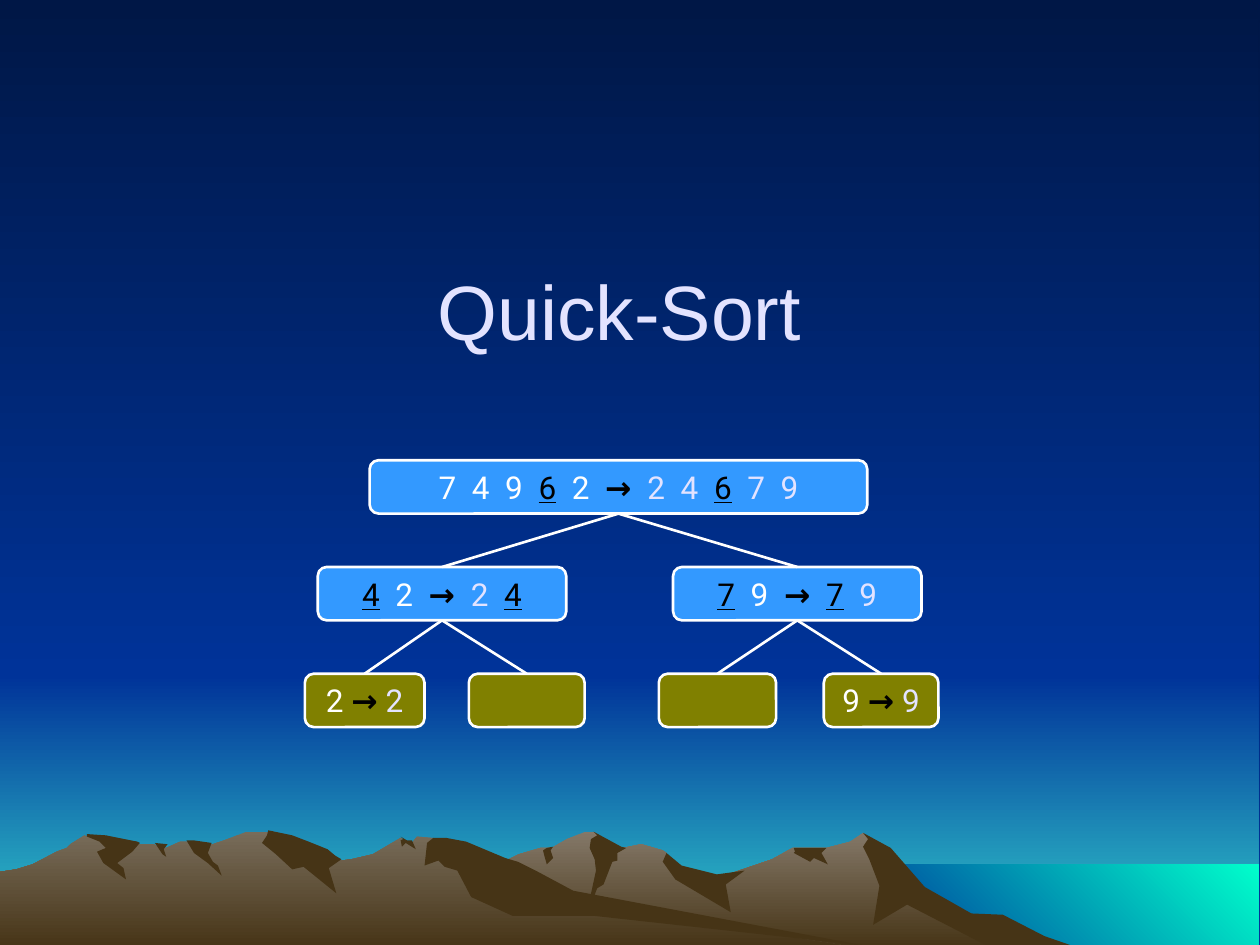
import lxml.etree
import pptx
import pptx.dml.color
import pptx.enum.shapes
import pptx.enum.text
import pptx.oxml.ns
import pptx.util

Pt = pptx.util.Pt
RGBColor = pptx.dml.color.RGBColor

NIGHT = RGBColor(0x00, 0x17, 0x46)
BLUE = RGBColor(0x00, 0x33, 0x99)
TEAL = RGBColor(0x33, 0xCC, 0xCC)
SEA = RGBColor(0x00, 0xFF, 0xCC)
HAZE = RGBColor(0x84, 0x78, 0x68)
LEFT_HAZE = RGBColor(0x78, 0x6C, 0x5A)
EARTH = RGBColor(0x46, 0x34, 0x16)
NODE = RGBColor(0x33, 0x99, 0xFF)
LEAF = RGBColor(0x80, 0x80, 0x00)
WHITE = RGBColor(0xFF, 0xFF, 0xFF)
BLACK = RGBColor(0x00, 0x00, 0x00)
LAVENDER = RGBColor(0xE3, 0xE3, 0xFF)

UNSORTED = dict(color=WHITE)
PIVOT = dict(color=BLACK, underline=True)
ARROW = dict(color=BLACK, bold=True)
SORTED = dict(color=LAVENDER)

DOWN, UP_RIGHT = 270, 45
HUNDREDTH_INCH = 0.72  # points
NODE_HEIGHT = 30.5
FIRST_ROW, ROW_STEP = 263, 61

# Outlines in hundredths of an inch
RIDGES = [
    ([(802, 741), (778, 728), (764, 725), (723, 699), (701, 673), (685, 661),
      (675, 668), (656, 673), (629, 673), (613, 682), (566, 698), (536, 691),
      (529, 677), (526, 675), (509, 670), (485, 675), (474, 662), (471, 660),
      (465, 660), (450, 666), (438, 673), (429, 673), (412, 678), (394, 687),
      (355, 699), (327, 711), (277, 740), (258, 753), (821, 753)], HAZE),
    ([(690, 753), (667, 750), (432, 714), (354, 666), (331, 664), (327, 669),
      (323, 669), (318, 665), (296, 678), (279, 682), (271, 683), (259, 678),
      (235, 682), (223, 664), (212, 660), (196, 660), (178, 667), (160, 673),
      (148, 668), (143, 668), (132, 673), (127, 673), (122, 670), (111, 670),
      (94, 673), (67, 663), (56, 670), (53, 673), (45, 676), (26, 686),
      (13, 690), (0, 692), (0, 753)], LEFT_HAZE),
]
RIGHT_SHADES = [
    [(796, 726), (771, 725), (734, 704), (707, 673), (685, 661), (689, 666),
     (685, 672), (690, 682), (698, 703), (693, 734), (720, 718), (788, 753),
     (858, 753), (829, 743)],
    [(471, 660), (474, 663), (469, 666), (468, 673), (472, 682), (473, 691),
     (465, 728), (474, 705), (479, 702), (486, 684), (490, 683), (490, 677),
     (497, 673), (493, 672)],
    [(529, 677), (526, 684), (536, 698), (580, 724), (576, 702), (591, 691),
     (569, 694), (541, 687)],
    [(649, 673), (630, 673), (631, 676), (630, 677), (643, 684), (646, 681),
     (657, 686), (652, 677), (656, 673)],
    [(432, 679), (431, 675), (434, 673), (439, 672), (437, 675), (439, 681),
     (434, 686)],
]
LEFT_SHADES = [
    [(212, 663), (208, 669), (219, 678), (232, 690), (241, 688), (267, 709),
     (261, 689), (271, 682), (266, 679), (260, 674), (245, 668), (232, 663),
     (213, 659)],
    [(370, 668), (354, 665), (344, 665), (339, 669), (337, 687), (348, 683),
     (353, 688), (363, 691), (374, 712), (407, 727), (472, 727), (690, 751),
     (683, 750), (455, 707), (427, 692), (411, 684), (401, 681)],
    [(318, 667), (320, 666), (318, 664), (323, 667), (327, 667), (330, 674),
     (322, 669), (319, 672)],
    [(154, 667), (168, 669), (165, 677), (169, 684), (173, 687), (176, 695),
     (165, 685), (154, 677), (148, 667)],
    [(133, 670), (130, 674), (132, 680), (129, 678), (123, 669)],
    [(109, 668), (111, 669), (105, 676), (93, 685), (98, 689), (100, 698),
     (82, 685), (77, 676), (84, 673), (79, 668), (69, 664), (69, 662),
     (84, 663), (94, 665)],
]


def write(paragraph, text, font="Roboto", size=18, color=WHITE, bold=False,
          underline=False):
    run = paragraph.add_run()
    run.text = text
    run.font.name = font
    run.font.size = Pt(size)
    run.font.color.rgb = color
    run.font.bold = bold
    run.font.underline = underline


def paint(fill, color, end=None, angle=DOWN):
    """Fill plainly, or with a gradient when an end colour is given."""
    if end is None:
        fill.solid()
        fill.fore_color.rgb = color
        return
    fill.gradient()
    fill.gradient_angle = angle
    for stop, shade in zip(fill.gradient_stops, (color, end)):
        stop.color.rgb = shade


class TreeSlide:
    """Holds the current slide and the style of its tree."""

    def __init__(self, slide):
        self.slide = slide
        self.outline = WHITE
        self.weight = Pt(1.5)

    def land(self, points, *colors, **options):
        builder = self.slide.shapes.build_freeform(
            *points[0], scale=float(Pt(HUNDREDTH_INCH)))
        builder.add_line_segments(points[1:], close=True)
        outline = builder.convert_to_shape()
        outline.shadow.inherit = False
        outline.line.fill.background()
        paint(outline.fill, *colors, **options)

    def band(self, left, top, right, bottom, *colors, **options):
        self.land([(left, top), (right, top), (right, bottom), (left, bottom)],
                  *colors, **options)

    def title(self, text):
        heading = self.slide.shapes.title
        heading.left, heading.top = Pt(48), Pt(132)
        heading.width, heading.height = Pt(612), Pt(90)
        frame = heading.text_frame
        frame.vertical_anchor = pptx.enum.text.MSO_ANCHOR.MIDDLE
        frame.paragraphs[0].alignment = pptx.enum.text.PP_ALIGN.CENTER
        write(frame.paragraphs[0], text, font="Arial", size=44, color=LAVENDER)
        # Keep the heading in front of the landscape
        heading.element.getparent().append(heading.element)

    def node(self, center, row, width, color, *parts):
        box = self.slide.shapes.add_shape(
            pptx.enum.shapes.MSO_SHAPE.ROUNDED_RECTANGLE,
            Pt(center - width / 2), Pt(FIRST_ROW + row * ROW_STEP),
            Pt(width), Pt(NODE_HEIGHT))
        box.shadow.inherit = False
        paint(box.fill, color)
        box.line.color.rgb = self.outline
        box.line.width = self.weight
        frame = box.text_frame
        frame.word_wrap = False
        frame.vertical_anchor = pptx.enum.text.MSO_ANCHOR.MIDDLE
        frame.paragraphs[0].alignment = pptx.enum.text.PP_ALIGN.CENTER
        for text, style in parts:
            write(frame.paragraphs[0], text, **style)
        return box

    def branch(self, parent, child):
        link = self.slide.shapes.add_connector(
            pptx.enum.shapes.MSO_CONNECTOR.STRAIGHT, 0, 0, 0, 0)
        link.begin_connect(parent, 2)
        link.end_connect(child, 0)
        link.line.color.rgb = self.outline
        link.line.width = self.weight
        lxml.etree.SubElement(link.element.spPr, pptx.oxml.ns.qn("a:effectLst"))


def main():
    deck = pptx.Presentation()
    deck.slide_width, deck.slide_height = Pt(720), Pt(540)
    page = TreeSlide(deck.slides.add_slide(deck.slide_layouts[5]))
    paint(page.slide.background.fill, NIGHT, BLUE)

    page.band(-1, 536, 999, 752, BLUE, TEAL)
    page.band(-1, 2, 999, 536, NIGHT, BLUE)
    page.band(683, 686, 999, 752, BLUE, SEA, angle=UP_RIGHT)
    for (ridge, haze), shades in zip(RIDGES, (RIGHT_SHADES, LEFT_SHADES)):
        page.land(ridge, haze, EARTH)
        for shade in shades:
            page.land(shade, EARTH)

    page.title("Quick-Sort")
    root = page.node(353.4, 0, 284.4, NODE,
                     ("7  4  9  ", UNSORTED), ("6", PIVOT), ("  2  ", UNSORTED),
                     ("→  ", ARROW), ("2  4  ", SORTED), ("6", PIVOT),
                     ("  7  9", SORTED))
    smaller = page.node(252.6, 1, 142, NODE,
                        ("4", PIVOT), ("  2  ", UNSORTED), ("→  ", ARROW),
                        ("2  ", SORTED), ("4", PIVOT))
    larger = page.node(455.6, 1, 142, NODE,
                       ("7", PIVOT), ("  9  ", UNSORTED), ("→  ", ARROW),
                       ("7", PIVOT), ("  9", SORTED))
    two = page.node(208.4, 2, 68.4, LEAF,
                    ("2 ", UNSORTED), ("→ ", ARROW), ("2", SORTED))
    empty_left = page.node(301, 2, 66.2, LEAF)
    empty_right = page.node(410, 2, 67, LEAF)
    nine = page.node(503.5, 2, 65.5, LEAF,
                     ("9 ", UNSORTED), ("→ ", ARROW), ("9", SORTED))
    for parent, children in ((root, (smaller, larger)),
                             (smaller, (two, empty_left)),
                             (larger, (empty_right, nine))):
        for child in children:
            page.branch(parent, child)

    deck.save("out.pptx")


if __name__ == "__main__":
    main()
